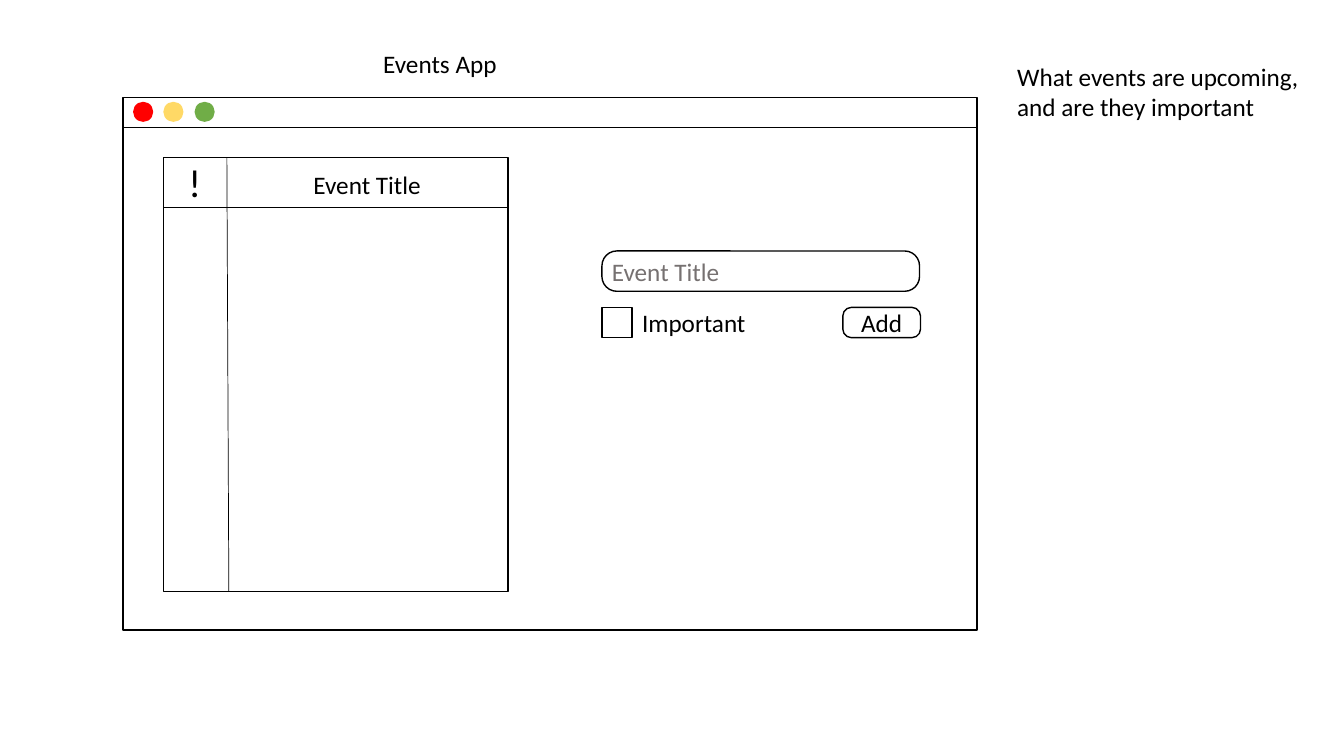
from lxml.etree import SubElement
from pptx import Presentation
from pptx.dml.color import RGBColor
from pptx.enum.shapes import MSO_CONNECTOR, MSO_SHAPE
from pptx.enum.text import MSO_ANCHOR, PP_ALIGN
from pptx.oxml.ns import qn
from pptx.util import Inches, Pt

BLACK = "000000"
WHITE = "FFFFFF"
GREY = "767171"


def color(value):
    return RGBColor.from_string(value)


def write(box, text, size=18, ink=BLACK, align=PP_ALIGN.LEFT,
          anchor=MSO_ANCHOR.TOP, wrap=False):
    frame = box.text_frame
    frame.word_wrap = wrap
    frame.vertical_anchor = anchor
    para = frame.paragraphs[0]
    para.text = text
    para.alignment = align
    para.font.name = "Calibri"
    para.font.size = Pt(size)
    para.font.color.rgb = color(ink)


def add_title(page, text, left, top, width, height):
    title = page.shapes.title
    title.left, title.top = Inches(left), Inches(top)
    title.width, title.height = Inches(width), Inches(height)
    write(title, text)
    title.text_frame.paragraphs[0].line_spacing = 1.0


def add_label(page, text, left, top, width, height=0.4, **style):
    box = page.shapes.add_textbox(Inches(left), Inches(top), Inches(width), Inches(height))
    write(box, text, **style)


def add_box(page, kind, left, top, width, height, fill=None, line=BLACK, corner=None):
    box = page.shapes.add_shape(kind, Inches(left), Inches(top), Inches(width), Inches(height))
    box.shadow.inherit = False
    if fill:
        box.fill.solid()
        box.fill.fore_color.rgb = color(fill)
    else:
        box.fill.background()
    if line:
        box.line.color.rgb = color(line)
        box.line.width = Pt(1)
    else:
        box.line.fill.background()
    if corner is not None:
        box.adjustments[0] = corner
    return box


def add_rule(page, x1, y1, x2, y2):
    rule = page.shapes.add_connector(
        MSO_CONNECTOR.STRAIGHT, Inches(x1), Inches(y1), Inches(x2), Inches(y2))
    rule.line.color.rgb = color(BLACK)
    rule.line.width = Pt(0.5)
    SubElement(rule._element.spPr, qn("a:effectLst"))


def add_window(page):
    add_box(page, MSO_SHAPE.RECTANGLE, 1.22, 0.97, 8.47, 5.28)
    add_rule(page, 1.22, 1.26, 9.69, 1.26)
    for left, fill in ((1.32, "FF0000"), (1.62, "FFD966"), (1.93, "70AD47")):
        add_box(page, MSO_SHAPE.OVAL, left, 1.01, 0.2, 0.2, fill, line=None)


def add_event_list(page):
    add_box(page, MSO_SHAPE.RECTANGLE, 1.62, 1.56, 3.42, 4.31)
    add_rule(page, 1.62, 2.06, 5.04, 2.06)
    add_rule(page, 2.25, 1.56, 2.27, 5.87)
    add_label(page, "!", 1.77, 1.52, 0.33, 0.57, size=28)
    add_label(page, "Event Title", 3.01, 1.63, 1.28)


def add_event_form(page):
    add_box(page, MSO_SHAPE.ROUNDED_RECTANGLE, 5.97, 2.49, 3.15, 0.4, WHITE, corner=0.37)
    add_label(page, "Event Title", 5.97, 2.49, 1.28, ink=GREY)
    add_box(page, MSO_SHAPE.RECTANGLE, 5.97, 3.05, 0.3, 0.3, WHITE)
    add_label(page, "Important", 6.27, 3, 1.24, wrap=True)
    button = add_box(page, MSO_SHAPE.ROUNDED_RECTANGLE, 8.36, 3.05, 0.77, 0.3, WHITE, corner=0.28)
    write(button, "Add", align=PP_ALIGN.CENTER, anchor=MSO_ANCHOR.MIDDLE, wrap=True)


def main():
    deck = Presentation()
    deck.slide_width, deck.slide_height = Inches(13.33), Inches(7.5)
    page = deck.slides.add_slide(deck.slide_layouts[5])
    add_title(page, "Events App", 3.7, 0.43, 1.34, 0.4)
    add_window(page)
    add_label(page, "What events are upcoming, and are they important",
              9.99, 0.56, 3.1, 0.71, wrap=True)
    add_event_list(page)
    add_event_form(page)
    deck.save("out.pptx")


if __name__ == "__main__":
    main()
